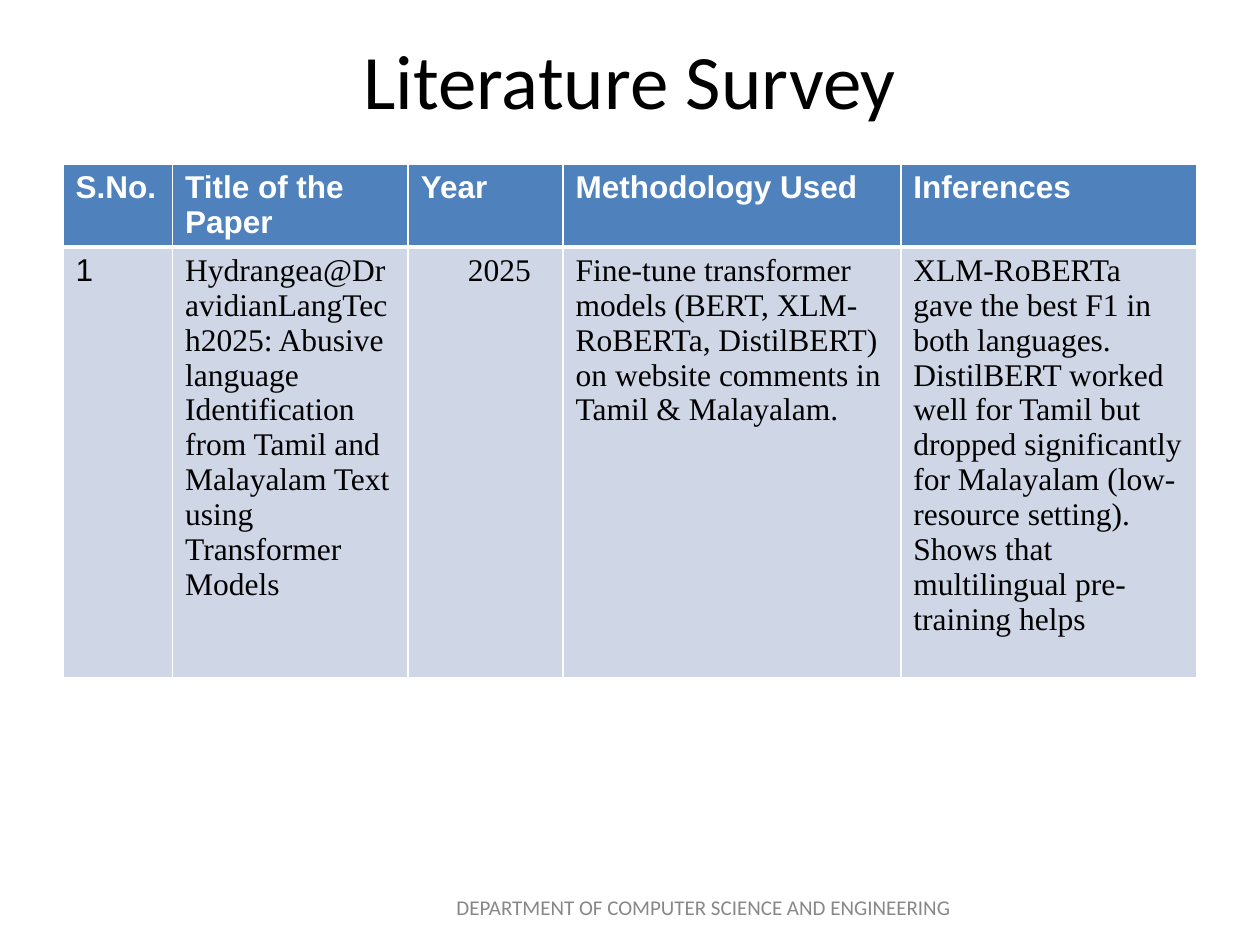
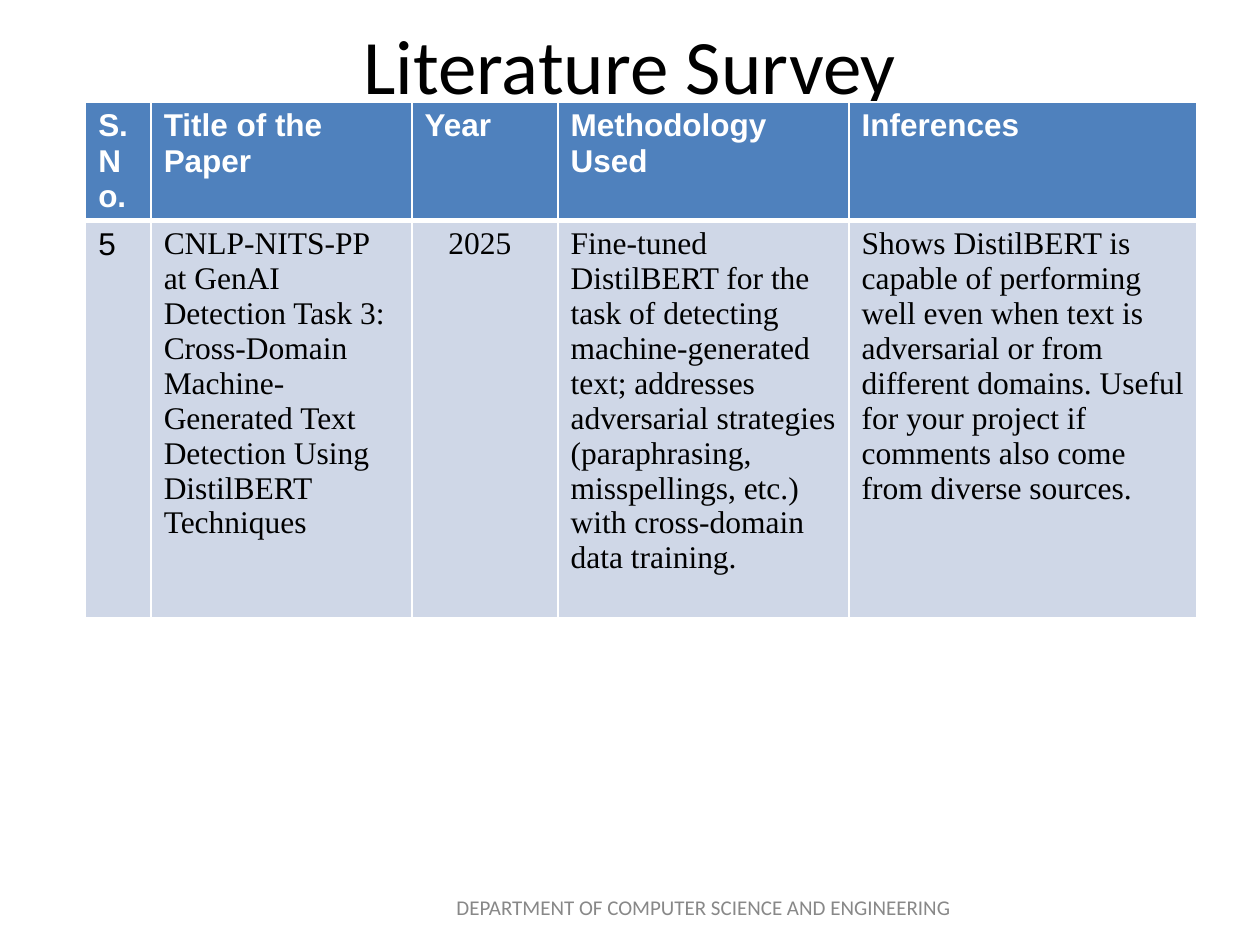
from lxml import etree
from pptx import Presentation
from pptx import util as u
from pptx.dml.color import RGBColor
from pptx.enum import text
from pptx.oxml import ns

# Shared style: the slide is a grid of 100 columns by 75 rows
COLUMNS, ROWS = 100, 75
WHITE, BLACK, GREY = "FFFFFF", "000000", "888888"
HEADER_FILL, BODY_FILL = "4F81BD", "CFD7E7"
HEADINGS = ["S.No.", "Title of the Paper", "Year", "Methodology Used", "Inferences"]
YEAR = HEADINGS.index("Year")
FOOTER = "DEPARTMENT OF COMPUTER SCIENCE AND ENGINEERING"


def colour(value):
    return RGBColor.from_string(value)


class SurveyDeck:
    """Holds the style and the current slide."""

    def __init__(self):
        self.deck = Presentation()
        self.deck.slide_width, self.deck.slide_height = u.Inches(10), u.Inches(7.5)
        self.page = None

    def x(self, columns):
        return round(self.deck.slide_width * columns / COLUMNS)

    def y(self, rows):
        return round(self.deck.slide_height * rows / ROWS)

    def place(self, left, top, width, height):
        return self.x(left), self.y(top), self.x(width), self.y(height)

    def set_words(self, frame, words, font, size, hue, bold=False, align=None):
        frame.text = words
        frame.word_wrap = True
        para = frame.paragraphs[0]
        para.alignment = align
        for span in para.runs:
            span.font.name, span.font.size = font, u.Pt(size)
            span.font.bold, span.font.color.rgb = bold, colour(hue)

    def title(self, words, top):
        self.page = self.deck.slides.add_slide(self.deck.slide_layouts[5])
        box = self.page.shapes.title
        box.left, box.top, box.width, box.height = self.place(5, top, 90, 12.5)
        self.set_words(box.text_frame, words, "Calibri", 44, BLACK, align=text.PP_ALIGN.CENTER)
        box.text_frame.auto_size = text.MSO_AUTO_SIZE.NONE
        box.text_frame.vertical_anchor = text.MSO_ANCHOR.MIDDLE

    def footer(self):
        box = self.page.shapes.add_textbox(*self.place(34.2, 70, 43.3, 4))
        self.set_words(box.text_frame, FOOTER, "Calibri", 12, GREY, align=text.PP_ALIGN.CENTER)
        box.text_frame.vertical_anchor = text.MSO_ANCHOR.MIDDLE

    def borders(self, cell, widths):
        properties = cell._tc.get_or_add_tcPr()
        for side, points in widths.items():
            line = etree.SubElement(properties, ns.qn(f"a:ln{side}"), w=str(u.Pt(points)))
            fill = etree.SubElement(line, ns.qn("a:solidFill"))
            etree.SubElement(fill, ns.qn("a:srgbClr"), val=WHITE)

    def table(self, left, top, widths, heights, entry, year_indent):
        frame = self.page.shapes.add_table(
            2, len(widths), *self.place(left, top, sum(widths), sum(heights)))
        table = frame.table
        for column, width in zip(table.columns, widths):
            column.width = self.x(width)
        for row, height in zip(table.rows, heights):
            row.height = self.y(height)

        # Header row, then the surveyed paper
        for index, (heading, value) in enumerate(zip(HEADINGS, entry)):
            head, body = table.cell(0, index), table.cell(1, index)
            self.borders(head, {"L": 1, "R": 1, "T": 1, "B": 3})
            self.borders(body, {"L": 1, "R": 1, "T": 3, "B": 1})
            for cell, fill in ((head, HEADER_FILL), (body, BODY_FILL)):
                cell.fill.solid()
                cell.fill.fore_color.rgb = colour(fill)
            self.set_words(head.text_frame, heading, "Arial", 18, WHITE, bold=True)
            font = "Times New Roman" if index else "Arial"
            self.set_words(body.text_frame, value, font, 18, BLACK)
        table.cell(1, 0).text_frame.paragraphs[0].alignment = text.PP_ALIGN.JUSTIFY
        table.cell(1, YEAR).margin_left = self.x(1 + year_indent)


def main():
    survey = SurveyDeck()

    # Paper 1
    survey.title("Literature Survey", top=0)
    survey.table(
        5, 13, [8.7, 18.7, 12.3, 26.8, 23.5], [6.6, 34.2],
        ["1",
         "Hydrangea@DravidianLangTech2025: Abusive language Identification from Tamil "
         "and Malayalam Text using Transformer Models",
         "2025",
         "Fine-tune transformer models (BERT, XLM-RoBERTa, DistilBERT) on website "
         "comments in Tamil & Malayalam.",
         "XLM-RoBERTa gave the best F1 in both languages. DistilBERT worked well for "
         "Tamil but dropped significantly for Malayalam (low-resource setting). Shows "
         "that multilingual pre-training helps"],
        year_indent=3.75)
    survey.footer()

    # Paper 5
    survey.title("Literature Survey", top=-1.2)
    survey.table(
        6.8, 8.1, [5.2, 20.7, 11.6, 23.1, 27.6], [9.4, 31.5],
        ["5",
         "CNLP-NITS-PP at GenAI Detection Task 3: Cross-Domain Machine-Generated Text "
         "Detection Using DistilBERT Techniques",
         "2025",
         "Fine-tuned DistilBERT for the task of detecting machine-generated text; "
         "addresses adversarial strategies (paraphrasing, misspellings, etc.) with "
         "cross-domain data training.",
         "Shows DistilBERT is capable of performing well even when text is adversarial "
         "or from different domains. Useful for your project if comments also come "
         "from diverse sources."],
        year_indent=1.9)
    survey.footer()

    survey.deck.save("out.pptx")


if __name__ == "__main__":
    main()
